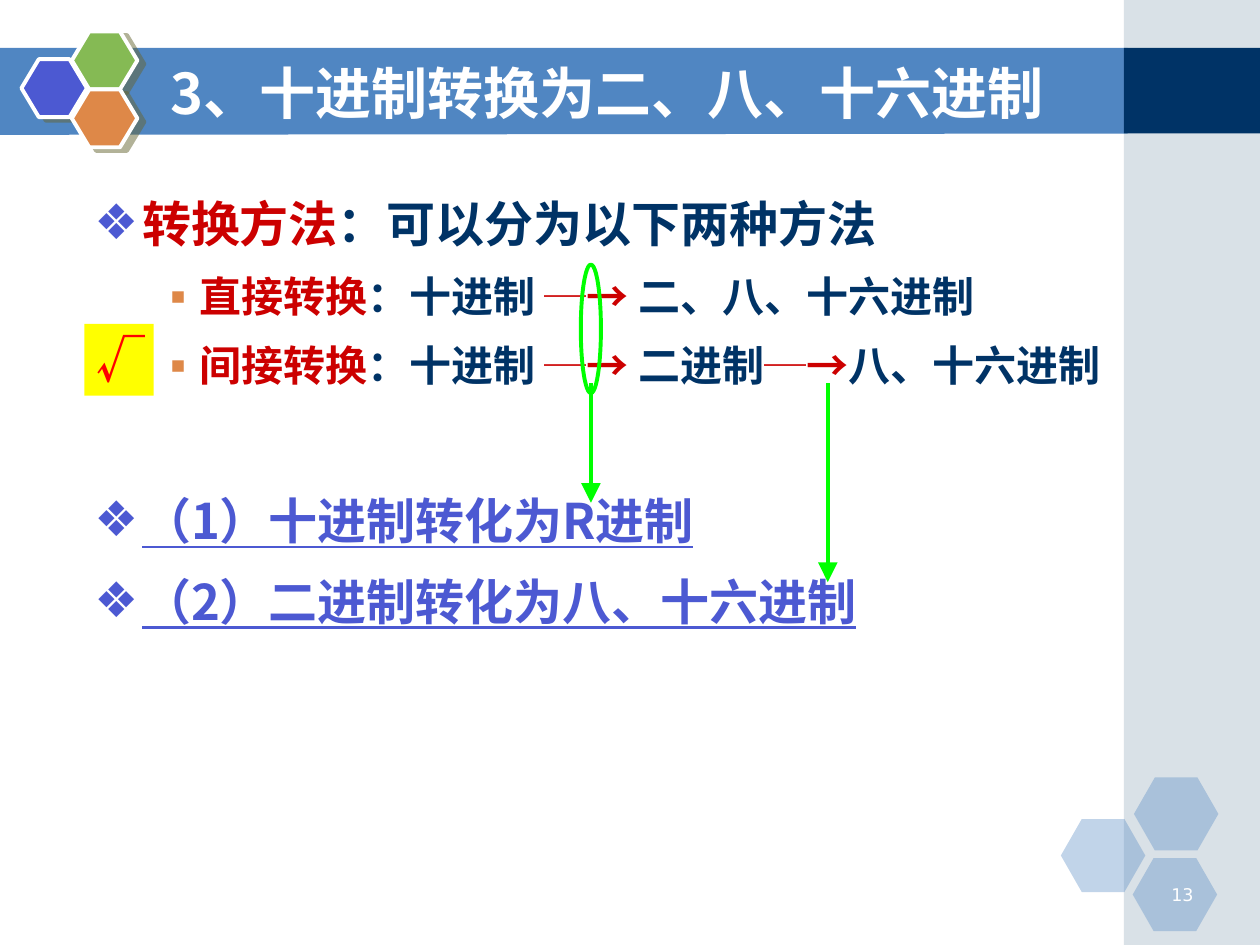
from lxml.etree import SubElement
from pptx import Presentation
from pptx.dml.color import RGBColor
from pptx.enum.shapes import MSO_CONNECTOR, MSO_SHAPE
from pptx.enum.text import MSO_ANCHOR, PP_ALIGN
from pptx.oxml.ns import qn
from pptx.util import Inches, Pt

HUES = {
    "band": "5086C2", "navy": "003366", "side": "A0B5C4", "blue": "4C59D2",
    "leaf": "85BA54", "rust": "DE8848", "white": "FFFFFF", "shade": "666633",
    "red": "CC0000", "lime": "00FF00", "sun": "FFFF00", "tick": "FF0000",
}
FACE = "Noto Sans CJK SC"


def tint(name):
    """Return the named colour."""
    return RGBColor.from_string(HUES[name])


def node(parent, tag, **attrs):
    """Append a drawing element with the given attributes."""
    return SubElement(parent, qn(tag), {k: str(v) for k, v in attrs.items()})


def write(para, text, size=28, hue="navy", bold=True, line=False, face=FACE):
    """Add a formatted run to a paragraph."""
    run = para.add_run()
    run.text = text
    font = run.font
    font.size, font.bold, font.name = Pt(size), bold, face
    font.color.rgb = tint(hue)
    if line:
        font.underline = True
    node(run.font._element, "a:ea", typeface=face)


def draw(slide, kind, box, fill=None, line=None, alpha=None):
    """Add a preset shape with its fill, outline and opacity."""
    shape = slide.shapes.add_shape(kind, *map(Inches, box))
    shape.shadow.inherit = False
    if fill:
        shape.fill.solid()
        shape.fill.fore_color.rgb = tint(fill)
        if alpha:
            color = shape.fill._xPr.find(qn("a:solidFill"))[0]
            node(color, "a:alpha", val=alpha * 1000)
    else:
        shape.fill.background()
    if line:
        shape.line.color.rgb = tint(line)
        shape.line.width = Pt(2.25)
    else:
        shape.line.fill.background()
    return shape


def cast(shape):
    """Give a shape a half-clear offset shadow."""
    effects = shape.element.spPr.find(qn("a:effectLst"))
    drop = node(effects, "a:outerShdw", blurRad=0, dist=Pt(4.5),
                dir=27 * 60000, algn="ctr", rotWithShape=0)
    color = node(drop, "a:srgbClr", val=HUES["shade"])
    node(color, "a:alpha", val=50000)


def header(slide, left, top, width, height):
    """Draw the title band and the side strip."""
    points = [(width, 0), (width, height - 0.01), (0, height)]
    form = slide.shapes.build_freeform(Inches(left), Inches(top), scale=1)
    form.add_line_segments(
        [(Inches(left + x), Inches(top + y)) for x, y in points], close=True)
    band = form.convert_to_shape()
    band.shadow.inherit = False
    band.fill.solid()
    band.fill.fore_color.rgb = tint("band")
    band.line.fill.background()
    draw(slide, MSO_SHAPE.RECTANGLE, (8.92, 0, 1.08, 7.5), "side", alpha=40)
    draw(slide, MSO_SHAPE.RECTANGLE, (8.92, top, 1.08, 0.68), "navy")


def badge(slide, left, top):
    """Draw the three outlined hexagons beside the title."""
    cells = [(0, 0.22, "blue"), (0.4, 0, "leaf"), (0.4, 0.46, "rust")]
    for x, y, hue in cells:
        cell = draw(slide, MSO_SHAPE.HEXAGON,
                    (left + x, top + y, 0.52, 0.46), hue, "white")
        cell.adjustments[0] = 0.3
        cast(cell)


def footer(slide, left, top):
    """Draw the pale hexagons and the slide number."""
    for x, y in [(0, 0.33), (0.58, 0), (0.57, 0.64)]:
        cell = draw(slide, MSO_SHAPE.HEXAGON,
                    (left + x, top + y, 0.67, 0.58), "band", alpha=35)
        cell.adjustments[0] = 0.286
    box = slide.shapes.add_textbox(
        Inches(left + 0.65), Inches(top + 0.8), Inches(0.5), Inches(0.25))
    box.text_frame.word_wrap = True
    para = box.text_frame.paragraphs[0]
    para.alignment = PP_ALIGN.RIGHT
    write(para, "13", size=10, hue="white", bold=False, face="DejaVu Sans")


def heading(slide, box):
    """Place the title in front of the band."""
    title = slide.shapes.title
    title.left, title.top, title.width, title.height = map(Inches, box)
    title.element.getparent().append(title.element)
    frame = title.text_frame
    frame.word_wrap = True
    frame.vertical_anchor = MSO_ANCHOR.MIDDLE
    para = frame.paragraphs[0]
    para.alignment = PP_ALIGN.LEFT
    write(para, "3、十进制转换为二、八、十六进制", size=32, hue="white")


def item(para, runs, level=0, gap=5.6, line=False):
    """Fill a bulleted paragraph from text and colour pairs."""
    left, hang, mark, hue, size, face = [
        (0.38, 0.38, "❖", "blue", 28, "DejaVu Sans"),
        (0.81, 0.31, "▪", "rust", 24, FACE)][level]
    para.level = level
    para.line_spacing = 1.2
    para.space_before = Pt(gap)
    props = para._p.get_or_add_pPr()
    props.set("marL", str(Inches(left)))
    props.set("indent", str(-Inches(hang)))
    node(node(props, "a:buClr"), "a:srgbClr", val=HUES[hue])
    node(props, "a:buFont", typeface=face)
    node(props, "a:buChar", char=mark)
    for text, color in runs:
        write(para, text, size=size, hue=color, line=line)


def body(slide, box):
    """Write the bulleted methods."""
    frame = slide.shapes.add_textbox(*map(Inches, box)).text_frame
    frame.word_wrap = True
    arrow = ("─→", "red")
    rows = [
        ([("转换方法", "red"), ("：可以分为以下两种方法", "navy")], 0, 0, False),
        ([("直接转换", "red"), ("：十进制 ", "navy"), arrow,
          (" 二、八、十六进制", "navy")], 1, 4.8, False),
        ([("间接转换", "red"), ("：十进制 ", "navy"), arrow,
          (" 二进制", "navy"), arrow, ("八、十六进制", "navy")], 1, 4.8, False),
        ([("（1）十进制转化为R进制", "blue")], 0, 51, True),
        ([("（2）二进制转化为八、十六进制", "blue")], 0, 5.6, True),
    ]
    for i, row in enumerate(rows):
        item(frame.add_paragraph() if i else frame.paragraphs[0], *row)


def marks(slide):
    """Draw the ring, the two arrows and the tick."""
    draw(slide, MSO_SHAPE.OVAL, (4.61, 2.1, 0.16, 1.02), line="lime")
    for x, end in [(4.69, 3.99), (6.57, 4.62)]:
        link = slide.shapes.add_connector(
            MSO_CONNECTOR.STRAIGHT, *map(Inches, (x, 3.04, x, end)))
        link.line.color.rgb = tint("lime")
        link.line.width = Pt(2.25)
        node(link.line._get_or_add_ln(), "a:tailEnd",
             type="triangle", w="lg", len="lg")
        node(link.element.spPr, "a:effectLst")
    tick = draw(slide, MSO_SHAPE.RECTANGLE, (0.67, 2.57, 0.55, 0.57), "sun")
    frame = tick.text_frame
    frame.word_wrap = False
    frame.vertical_anchor = MSO_ANCHOR.TOP
    para = frame.paragraphs[0]
    para.alignment = PP_ALIGN.LEFT
    write(para, "√", hue="tick")


def main():
    """Build and save the slide."""
    deck = Presentation()
    deck.slide_width, deck.slide_height = Inches(10), Inches(7.5)
    slide = deck.slides.add_slide(deck.slide_layouts[5])
    header(slide, -0.01, 0.38, 8.96, 0.69)
    badge(slide, 0.17, 0.25)
    footer(slide, 8.42, 6.17)
    heading(slide, (1.25, 0.42, 8.32, 0.62))
    body(slide, (0.65, 1.39, 8.84, 4.27))
    marks(slide)
    deck.save("out.pptx")


if __name__ == "__main__":
    main()
